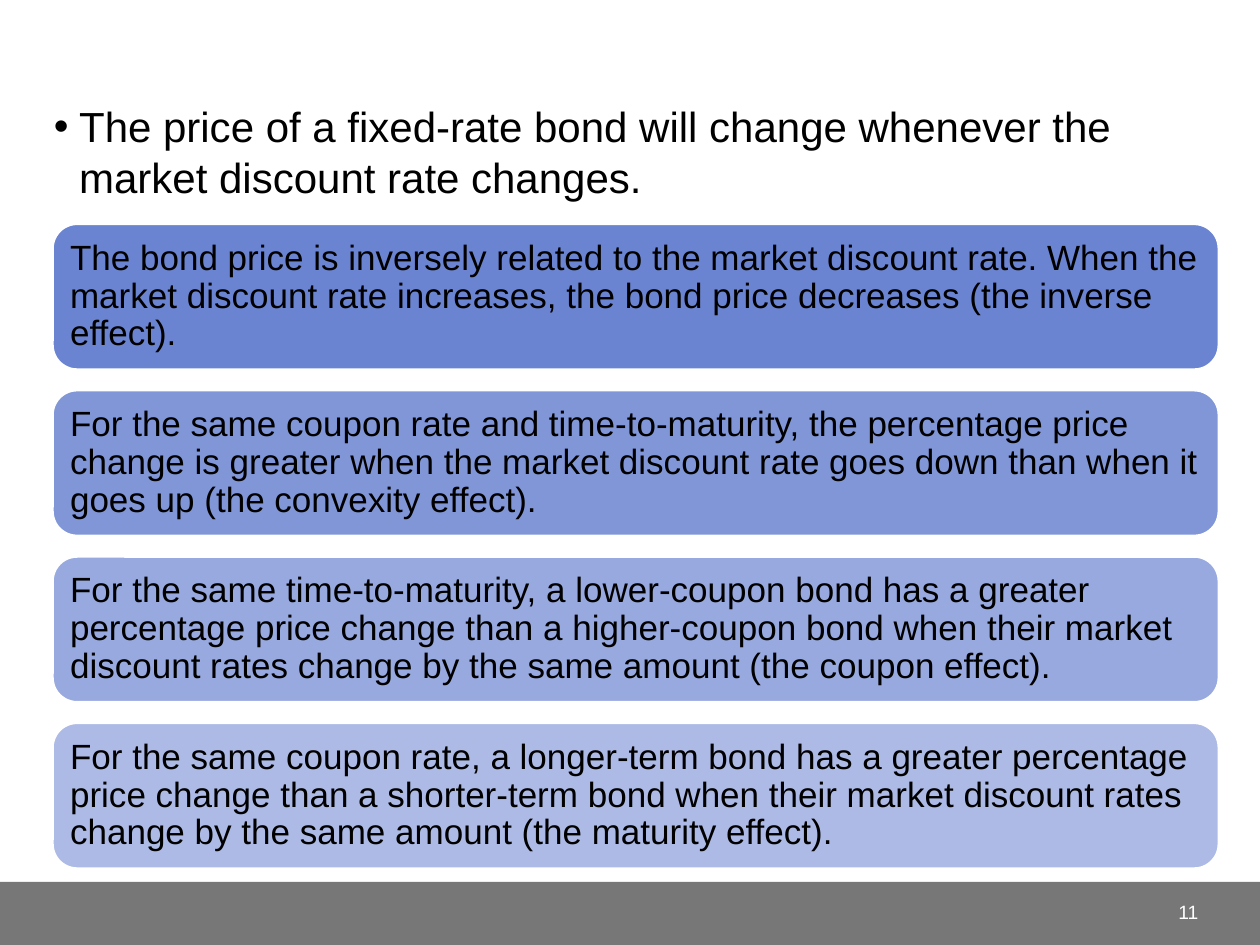
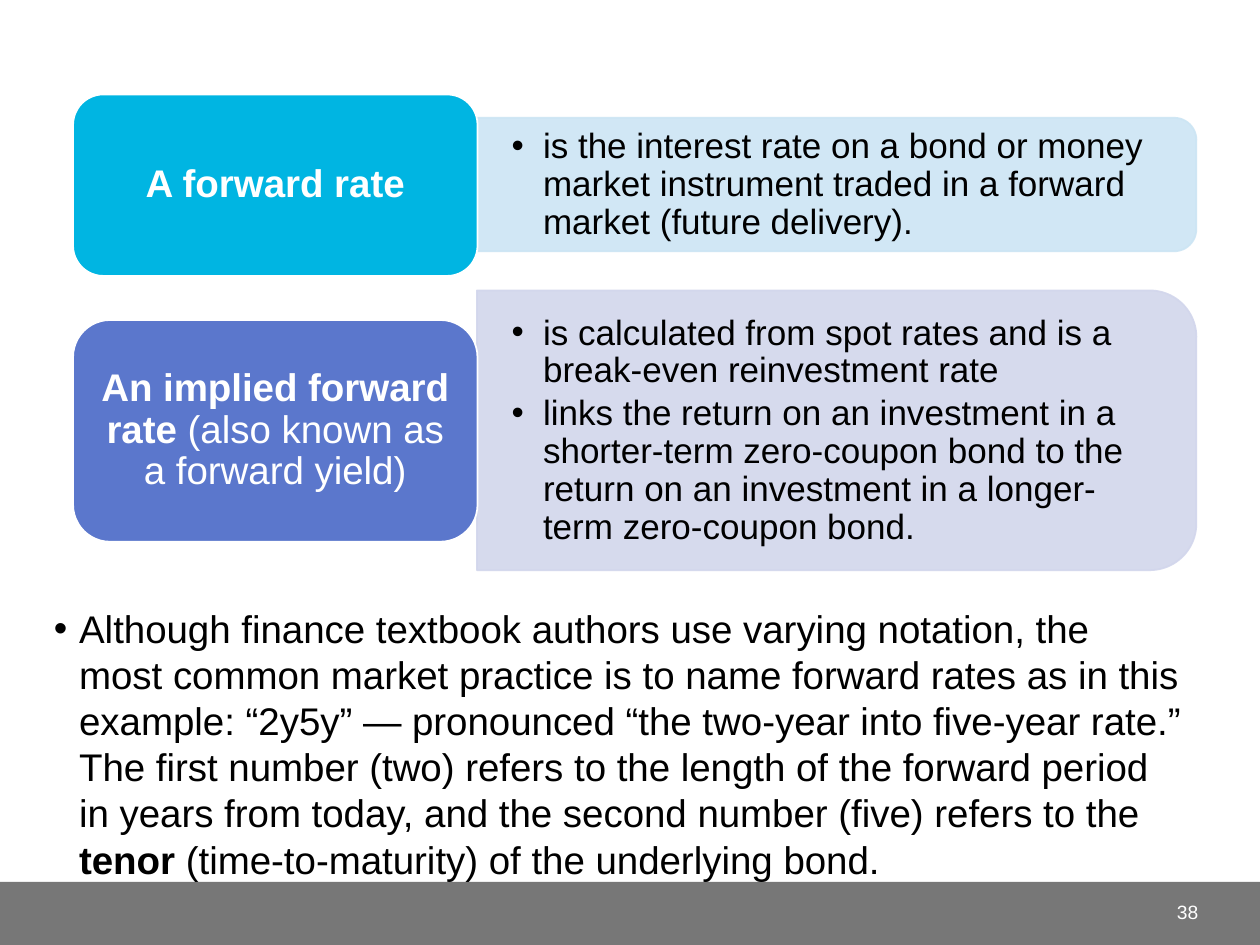
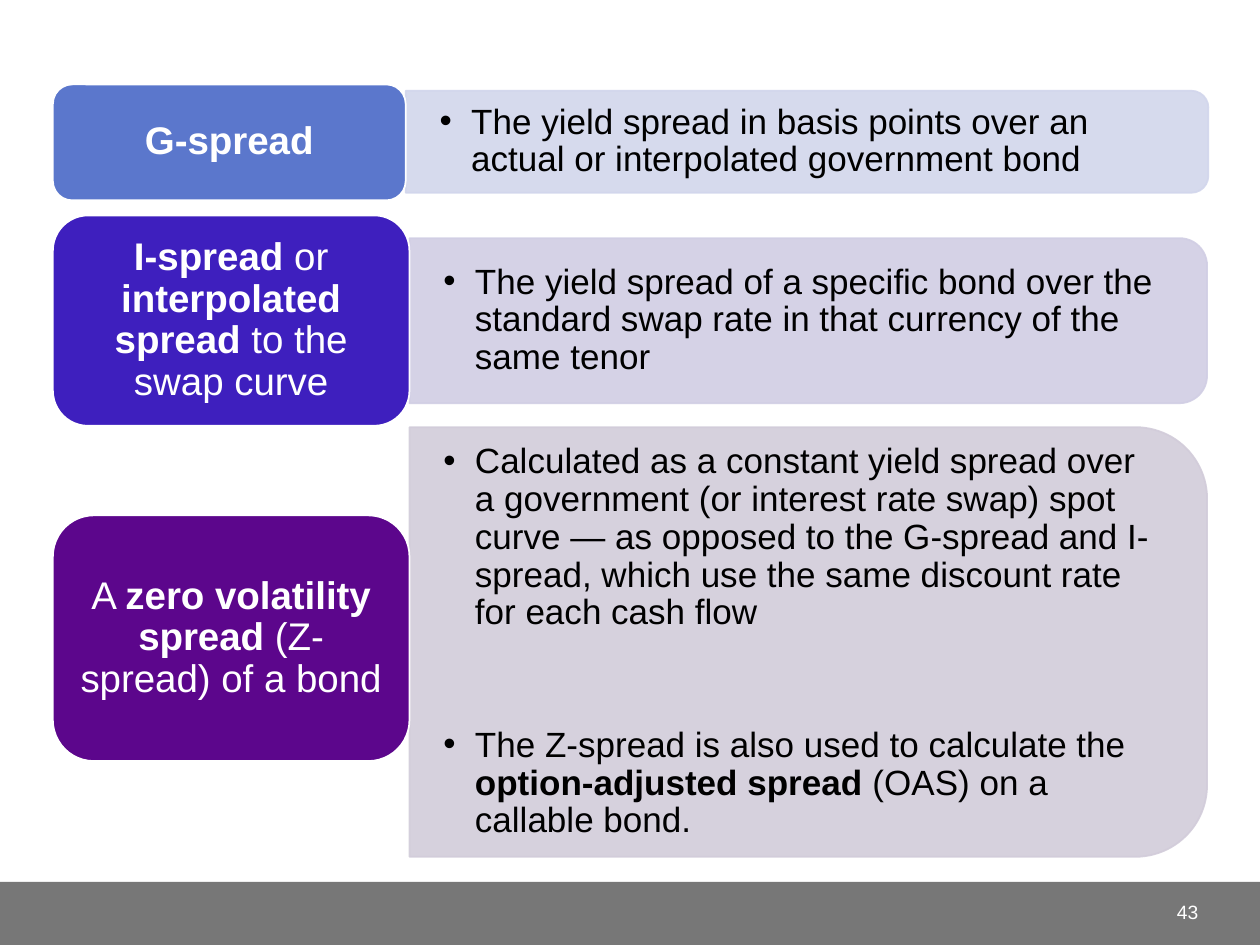
from dataclasses import dataclass

from pptx import Presentation
from pptx.dml.color import RGBColor
from pptx.enum.shapes import MSO_SHAPE
from pptx.enum.text import MSO_ANCHOR, PP_ALIGN
from pptx.oxml.ns import qn
from pptx.slide import Slide
from pptx.util import Pt
from lxml import etree

PX = 9144  # EMU per px, 100 px to the inch
SLIDE_WIDTH, SLIDE_HEIGHT = 1000, 750
BLANK_LAYOUT = 6
FONT = "Arial"
CORNER_INSET = 0.05  # part of a rounded box's height taken by its corners

RECTANGLE = MSO_SHAPE.RECTANGLE
ROUNDED = MSO_SHAPE.ROUNDED_RECTANGLE
ROUNDED_TOP = MSO_SHAPE.ROUND_2_SAME_RECTANGLE
TOP, MIDDLE = MSO_ANCHOR.TOP, MSO_ANCHOR.MIDDLE
LEFT, CENTER, RIGHT = PP_ALIGN.LEFT, PP_ALIGN.CENTER, PP_ALIGN.RIGHT

COLORS = {
    "white": "FFFFFF",
    "black": "000000",
    "band": "777777",
    "blue": "5B77CC",
    "cyan": "00B5E2",
    "indigo": "3E1FBE",
    "purple": "5C068C",
    "pale cyan": "CCE5F4",
    "pale blue": "D2D6EC",
    "pale indigo": "D1CEE4",
    "pale purple": "D2CCDA",
}


@dataclass(frozen=True)
class Box:
    left: int
    top: int
    width: int
    height: int

    def emu(self) -> list[int]:
        return [value * PX for value in (self.left, self.top, self.width, self.height)]


@dataclass(frozen=True)
class TextStyle:
    size: int
    color: str = "black"
    align: PP_ALIGN = LEFT
    anchor: MSO_ANCHOR = MIDDLE
    margins: tuple[int, int] = (10, 5)  # sides, top and bottom
    line_spacing: float = 1.0
    space_after: int = 0
    gap_before: int = 0  # before every paragraph but the first
    bullet_indent: int = 0


@dataclass(frozen=True)
class Definition:
    """A coloured term with a pale panel of bullets at its right."""
    term: str
    term_box: Box
    term_color: str
    panel_box: Box
    panel_color: str
    bullets: list[str]
    gap: int = 0


BODY = TextStyle(24, anchor=TOP, bullet_indent=20)
SMALL_BODY = TextStyle(22, anchor=TOP, bullet_indent=20)
NUMBER = TextStyle(11, "white", RIGHT)
CARD = TextStyle(20, margins=(8, 8), line_spacing=0.9, space_after=7)
TERM = TextStyle(22, "white", CENTER, margins=(9, 5), line_spacing=0.9, space_after=8)


def panel_style(gap: int) -> TextStyle:
    return TextStyle(20, margins=(27, 14), line_spacing=0.9, space_after=3,
                     gap_before=gap, bullet_indent=25)


def rgb(name: str) -> RGBColor:
    return RGBColor.from_string(COLORS[name])


def set_attributes(target, values: dict) -> None:
    for name, value in values.items():
        setattr(target, name, value)


def set_bullet(paragraph, indent: int) -> None:
    properties = paragraph._p.get_or_add_pPr()
    properties.set("marL", str(indent * PX))
    properties.set("indent", str(-indent * PX))
    etree.SubElement(properties, qn("a:buFont")).set("typeface", FONT)
    etree.SubElement(properties, qn("a:buChar")).set("char", "•")


def write(shape, texts: list[str], style: TextStyle) -> None:
    """Fill a shape with paragraphs; asterisks enclose bold words."""
    frame = shape.text_frame
    side, end = (margin * PX for margin in style.margins)
    set_attributes(frame, {
        "word_wrap": True, "vertical_anchor": style.anchor,
        "margin_left": side, "margin_right": side,
        "margin_top": end, "margin_bottom": end,
    })
    for index, text in enumerate(texts):
        paragraph = frame.add_paragraph() if index else frame.paragraphs[0]
        if style.bullet_indent:
            set_bullet(paragraph, style.bullet_indent)
        set_attributes(paragraph, {
            "alignment": style.align, "line_spacing": style.line_spacing,
            "space_before": Pt(style.gap_before if index else 0),
            "space_after": Pt(style.space_after),
        })
        for part_index, part in enumerate(text.split("*")):
            if part:
                run = paragraph.add_run()
                run.text = part
                set_attributes(run.font, {"name": FONT, "size": Pt(style.size),
                                          "bold": part_index % 2 == 1})
                run.font.color.rgb = rgb(style.color)


def add_text(slide: Slide, box: Box, texts: list[str], style: TextStyle) -> None:
    write(slide.shapes.add_textbox(*box.emu()), texts, style)


def add_box(slide: Slide, preset: MSO_SHAPE, box: Box, fill: str, line: str = ""):
    shape = slide.shapes.add_shape(preset, *box.emu())
    shape.shadow.inherit = False
    shape.fill.solid()
    shape.fill.fore_color.rgb = rgb(fill)
    if line:
        shape.line.color.rgb = rgb(line)
        shape.line.width = Pt(1)
    else:
        shape.line.fill.background()
    return shape


def set_opacity(shape, percent: int, places: tuple[str, ...]) -> None:
    for place in places:
        for color in shape.element.spPr.findall(f"{place}/{qn('a:srgbClr')}"):
            etree.SubElement(color, qn("a:alpha")).set("val", str(percent * 1000))


FILL = qn("a:solidFill")
LINE = f"{qn('a:ln')}/{FILL}"


def add_panel(slide: Slide, box: Box, color: str, bullets: list[str], gap: int) -> None:
    # The preset rounds its top corners, so it is turned to face right
    turned = Box(box.left + (box.width - box.height) // 2,
                 box.top + (box.height - box.width) // 2, box.height, box.width)
    panel = add_box(slide, ROUNDED_TOP, turned, color, color)
    panel.rotation = 90
    set_opacity(panel, 90, (FILL, LINE))
    inset = round(box.height * CORNER_INSET)
    text_box = Box(box.left, box.top + inset, box.width - inset, box.height - 2 * inset)
    add_text(slide, text_box, bullets, panel_style(gap))


def add_definition(slide: Slide, item: Definition) -> None:
    add_panel(slide, item.panel_box, item.panel_color, item.bullets, item.gap)
    term = add_box(slide, ROUNDED, item.term_box, item.term_color, "white")
    write(term, [item.term], TERM)


def add_numbered_slide(presentation, number: int) -> Slide:
    slide = presentation.slides.add_slide(presentation.slide_layouts[BLANK_LAYOUT])
    add_box(slide, RECTANGLE, Box(0, 700, SLIDE_WIDTH, 50), "band")
    add_text(slide, Box(875, 704, 86, 40), [str(number)], NUMBER)
    return slide


# Slide content
PRICE_EFFECTS = [
    (90, "The bond price is inversely related to the market discount rate. When the market "
         "discount rate increases, the bond price decreases (the inverse effect)."),
    (77, "For the same coupon rate and time-to-maturity, the percentage price change is greater "
         "when the market discount rate goes down than when it goes up (the convexity effect)."),
    (63, "For the same time-to-maturity, a lower-coupon bond has a greater percentage price "
         "change than a higher-coupon bond when their market discount rates change by the same "
         "amount (the coupon effect)."),
    (50, "For the same coupon rate, a longer-term bond has a greater percentage price change "
         "than a shorter-term bond when their market discount rates change by the same amount "
         "(the maturity effect)."),
]

FORWARD_RATES = [
    Definition("*A forward rate*", Box(58, 75, 321, 144), "cyan",
               Box(379, 94, 571, 106), "pale cyan",
               ["is the interest rate on a bond or money market instrument traded in a forward "
                "market (future delivery)."]),
    Definition("*An implied forward rate *(also known as a forward yield)",
               Box(58, 254, 321, 176), "blue", Box(379, 231, 571, 222), "pale blue",
               ["is calculated from spot rates and is a break-even reinvestment rate",
                "links the return on an investment in a shorter-term zero-coupon bond to the "
                "return on an investment in a longer-term zero-coupon bond."]),
]

FORWARD_NOTATION = (
    "Although finance textbook authors use varying notation, the most common market practice is "
    "to name forward rates as in this example: “2y5y” — pronounced “the two-year into five-year "
    "rate.” The first number (two) refers to the length of the forward period in years from "
    "today, and the second number (five) refers to the *tenor* (time-to-maturity) of the "
    "underlying bond.")

YIELD_SPREADS = [
    Definition("*G-spread*", Box(42, 67, 280, 92), "blue",
               Box(322, 72, 637, 81), "pale blue",
               ["The yield spread in basis points over an actual or interpolated government bond"]),
    Definition("*I-spread* or *interpolated spread* to the swap curve",
               Box(42, 171, 283, 167), "indigo", Box(325, 189, 633, 131), "pale indigo",
               ["The yield spread of a specific bond over the standard swap rate in that currency "
                "of the same tenor"]),
    Definition("A *zero volatility spread *(Z-spread) of a bond",
               Box(42, 409, 283, 195), "purple", Box(325, 339, 633, 341), "pale purple",
               ["Calculated as a constant yield spread over a government (or interest rate swap) "
                "spot curve — as opposed to the G-spread and I-spread, which use the same "
                "discount rate for each cash flow",
                "The Z-spread is also used to calculate the *option-adjusted spread *(OAS) on a "
                "callable bond."], gap=51),
]


def build_price_slide(presentation) -> None:
    slide = add_numbered_slide(presentation, 11)
    add_text(slide, Box(33, 75, 933, 100),
             ["The price of a fixed-rate bond will change whenever the market discount rate "
              "changes."], BODY)
    for index, (opacity, text) in enumerate(PRICE_EFFECTS):
        card = add_box(slide, ROUNDED, Box(42, 178 + 132 * index, 925, 115), "blue", "white")
        set_opacity(card, opacity, (FILL,))
        write(card, [text], CARD)


def build_forward_slide(presentation) -> None:
    slide = add_numbered_slide(presentation, 38)
    for item in FORWARD_RATES:
        add_definition(slide, item)
    add_text(slide, Box(33, 475, 916, 225), [FORWARD_NOTATION], SMALL_BODY)


def build_spread_slide(presentation) -> None:
    slide = add_numbered_slide(presentation, 43)
    for item in YIELD_SPREADS:
        add_definition(slide, item)


def main() -> None:
    presentation = Presentation()
    presentation.slide_width = SLIDE_WIDTH * PX
    presentation.slide_height = SLIDE_HEIGHT * PX
    build_price_slide(presentation)
    build_forward_slide(presentation)
    build_spread_slide(presentation)
    presentation.save("out.pptx")


if __name__ == "__main__":
    main()
